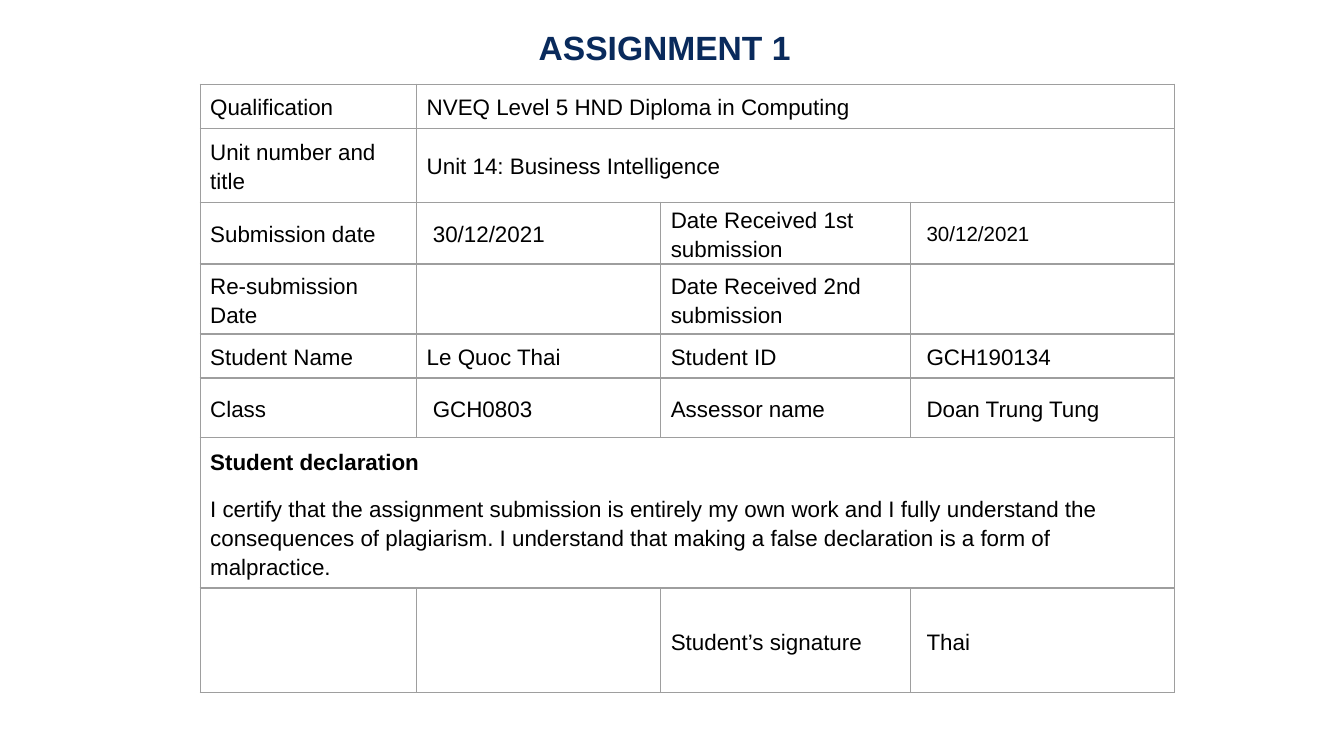
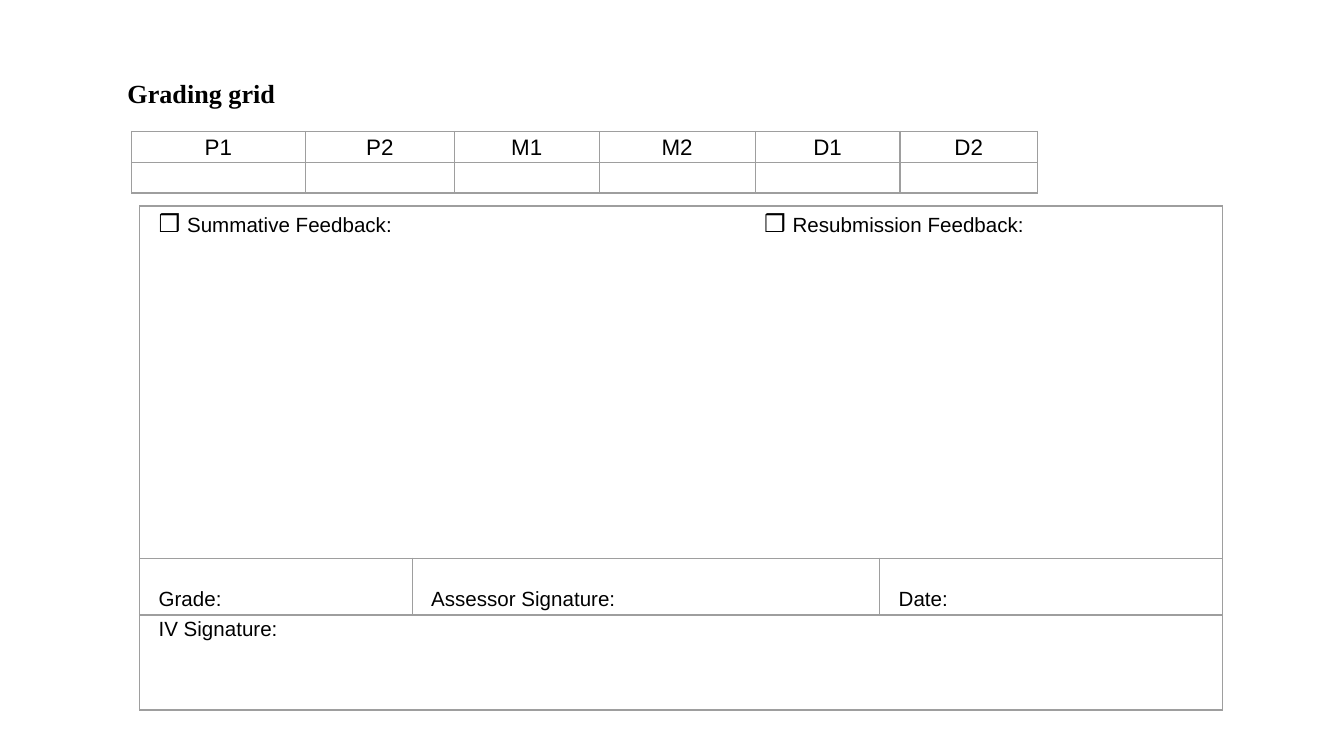
from lxml.etree import SubElement
from pptx import Presentation
from pptx.dml.color import RGBColor
from pptx.enum.text import MSO_ANCHOR, PP_ALIGN
from pptx.oxml import parse_xml
from pptx.oxml.ns import nsdecls, qn
from pptx.util import Pt

BLACK, NAVY, GREY = "000000", "092A5C", "9E9E9E"
BODY = {"size": 12, "name": "Arial", "color": BLACK, "bold": False}
CELL = {"left": 5.4, "anchor": MSO_ANCHOR.TOP, "align": PP_ALIGN.LEFT,
        "after": 10, "bottom": 0, "tab": None, "font": BODY}


def rgb(hex_color):
    return RGBColor.from_string(hex_color)


def add_run(p, text, fmt):
    r = p.add_run()
    r.text = text
    for key, value in fmt.items():
        if key == "color":
            r.font.color.rgb = rgb(value)
        else:
            setattr(r.font, key, Pt(value) if key == "size" else value)


def set_tab(p, position):
    tabs = SubElement(p._p.get_or_add_pPr(), qn("a:tabLst"))
    SubElement(tabs, qn("a:tab"), pos=str(Pt(position)), algn="l")


def add_text(s, box, text, fmt, top, line=1.0, after=0, left=7.2):
    tf = s.shapes.add_textbox(*map(Pt, box)).text_frame
    tf.word_wrap = True
    tf.margin_top, tf.margin_left = Pt(top), Pt(left)
    p = tf.paragraphs[0]
    p.line_spacing, p.space_after = line, Pt(after)
    add_run(p, text, BODY | fmt)


def set_borders(cell):
    cell.fill.background()
    tc_pr = cell._tc.get_or_add_tcPr()
    for i, side in enumerate("LRTB"):
        tc_pr.insert(i, parse_xml(
            f'<a:ln{side} {nsdecls("a")} w="{Pt(0.75)}"><a:solidFill>'
            f'<a:srgbClr val="{GREY}"/></a:solidFill></a:ln{side}>'))


def fill_cell(cell, content, style):
    """Write paragraphs into a cell; each is a string or a list of (text, format) runs."""
    margins = {"left": style["left"], "right": 5, "top": 0, "bottom": style["bottom"]}
    for side, value in margins.items():
        setattr(cell, f"margin_{side}", Pt(value))
    cell.vertical_anchor = style["anchor"]
    tf = cell.text_frame
    for i, runs in enumerate(content if isinstance(content, list) else [content]):
        p = tf.add_paragraph() if i else tf.paragraphs[0]
        p.alignment, p.line_spacing = style["align"], 1.15
        p.space_after = Pt(style["after"])
        if style["tab"]:
            set_tab(p, style["tab"])
        if not runs:
            SubElement(p._p, qn("a:endParaRPr"), sz=str(style["font"]["size"] * 100))
            continue
        for text, fmt in [(runs, {})] if isinstance(runs, str) else runs:
            add_run(p, text, style["font"] | fmt)


def add_grid(s, left, top, widths, heights, rows, style, special=None):
    """Add a bordered table; the last cell of a short row spans the remaining columns.

    special maps (row, column) to changes of the cell style.
    """
    table = s.shapes.add_table(len(rows), len(widths), Pt(left), Pt(top),
                               Pt(sum(widths)), Pt(sum(heights))).table
    table.first_row = table.horz_banding = False
    for lines, key, sizes in ((table.columns, "width", widths), (table.rows, "height", heights)):
        for line, size in zip(lines, sizes):
            setattr(line, key, Pt(size))
    for cell in table.iter_cells():
        set_borders(cell)
    last = len(widths) - 1
    for i, row in enumerate(rows):
        for j, content in enumerate(row):
            fill_cell(table.cell(i, j), content, CELL | style | (special or {}).get((i, j), {}))
        if len(row) <= last:
            table.cell(i, len(row) - 1).merge(table.cell(i, last))


def build_cover(s):
    add_text(s, (170.6, 10.8, 404, 51), "ASSIGNMENT 1",
             {"size": 18, "color": NAVY, "bold": True}, top=3.4, left=118)
    declaration = [
        [("Student declaration", {"bold": True})],
        "I certify that the assignment submission is entirely my own work and I fully "
        "understand the consequences of plagiarism. I understand that making a false "
        "declaration is a form of malpractice.",
    ]
    rows = [
        ["Qualification", "NVEQ Level 5 HND Diploma in Computing"],
        ["Unit number and title", "Unit 14: Business Intelligence"],
        ["Submission date", "30/12/2021", "Date Received 1st submission",
         [[("30/12/2021", {"size": 11})]]],
        ["Re-submission Date", "", "Date Received 2nd submission", ""],
        ["Student Name", "Le Quoc Thai", "Student ID", "GCH190134"],
        ["Class", "GCH0803", "Assessor name", "Doan Trung Tung"],
        [declaration],
        ["", "", "Student’s signature", "Thai"],
    ]
    indented = [(2, 1), (5, 1), (2, 3), (4, 3), (5, 3), (7, 3)]
    add_grid(s, 107.2, 45.1, [116, 130.8, 133.7, 141.5],
             [23.6, 39.6, 32.7, 37.5, 23.6, 32.1, 80.4, 56.2], rows,
             {"anchor": MSO_ANCHOR.MIDDLE}, {key: {"left": 8.7} for key in indented})


def build_grading(s):
    add_text(s, (61.2, 35.3, 360, 25.2), "Grading grid",
             {"size": 14, "name": "Times New Roman", "bold": True},
             top=3.8, line=1.15, after=10)
    grades = ["P1", "P2", "M1", "M2", "D1", "D2"]
    add_grid(s, 70.5, 70.4, [93, 80, 77.5, 83.6, 77.6, 73.6], [16.4, 16.4],
             [grades, [""] * len(grades)], {"align": PP_ALIGN.CENTER, "left": 5})

    box = ("❒ ", {"size": 13})
    feedback = [[box, ("Summative Feedback:\t", {}), box, ("Resubmission Feedback:", {})]]
    rows = [
        [feedback],
        ["Grade:", "Assessor Signature:", "Date:"],
        ["IV Signature:"],
    ]
    signing = {"anchor": MSO_ANCHOR.BOTTOM, "bottom": 2.3}
    add_grid(s, 74.8, 110.4, [146, 250.5, 183.5], [188.6, 30.5, 50.9], rows,
             {"left": 10.2, "after": 0, "font": BODY | {"size": 11}},
             {(0, 0): {"tab": 324.4}} | {(1, j): signing for j in range(3)})


def main():
    prs = Presentation()
    prs.slide_width, prs.slide_height = Pt(720), Pt(405)
    for build in (build_cover, build_grading):
        build(prs.slides.add_slide(prs.slide_layouts[6]))
    prs.save("out.pptx")


if __name__ == "__main__":
    main()
